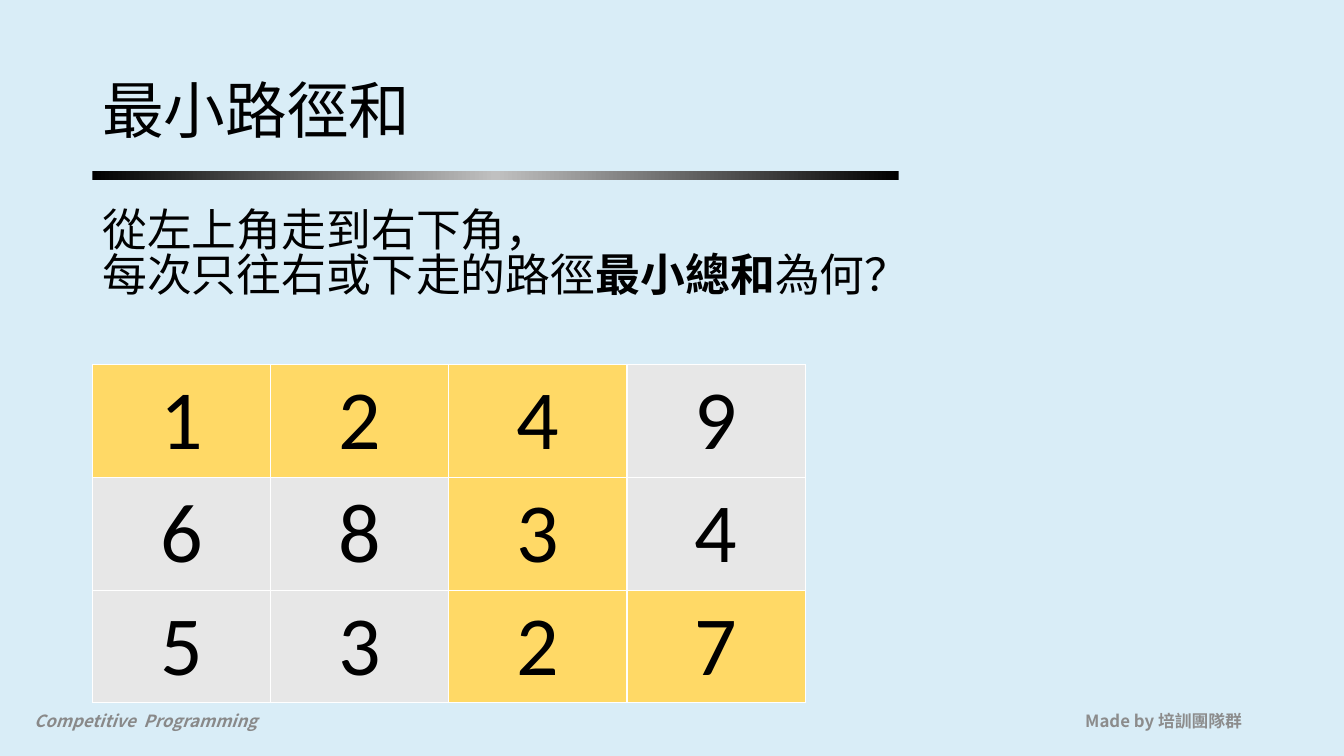
from lxml.etree import SubElement
from pptx import Presentation
from pptx.dml.color import RGBColor
from pptx.enum.shapes import MSO_SHAPE
from pptx.enum.text import MSO_ANCHOR, PP_ALIGN
from pptx.oxml.ns import qn
from pptx.util import Cm, Pt

COLOURS = {
    "background": "D9EDF7", "text": "000000", "path": "FFD966", "cell": "E7E7E7",
    "border": "FFFFFF", "credit": "8C8C8C", "course": "898989", "shine": "C0C0C0",
}
CJK_FONT = "Noto Sans CJK SC"
NUMBER_FONT = "Calibri"

TITLE = "最小路徑和"
# Each line of the question is a list of (text, bold) spans.
QUESTION = [
    [("從左上角走到右下角，", False)],
    [("每次只往右或下走的路徑", False), ("最小總和", True), ("為何？", False)],
]
GRID = [[1, 2, 4, 9], [6, 8, 3, 4], [5, 3, 2, 7]]
BEST_PATH = {(0, 0), (0, 1), (0, 2), (1, 2), (2, 2), (2, 3)}
COURSE = "Competitive  Programming"
CREDIT = "Made by 培訓團隊群"

LEFT, CONTENT_WIDTH = 2.33, 29.21
CELL_WIDTH, CELL_HEIGHT = 4.49, 2.84


def colour(name):
    return RGBColor.from_string(COLOURS[name])


def style(paragraph, size, font=CJK_FONT, ink="text"):
    """Set the paragraph's font for Latin and East Asian text alike."""
    paragraph.font.size = Pt(size)
    paragraph.font.name = font
    paragraph.font.color.rgb = colour(ink)
    properties = paragraph._p.find(qn("a:pPr")).find(qn("a:defRPr"))
    SubElement(properties, qn("a:ea"), typeface=font)


def add_text(page, left, top, width, height, lines, size, ink="text",
             anchor=MSO_ANCHOR.MIDDLE):
    """Add one paragraph whose lines are parted by line breaks; return it."""
    box = page.shapes.add_textbox(Cm(left), Cm(top), Cm(width), Cm(height))
    box.text_frame.word_wrap = True
    box.text_frame.vertical_anchor = anchor
    paragraph = box.text_frame.paragraphs[0]
    style(paragraph, size, ink=ink)
    for index, line in enumerate(lines):
        if index:
            paragraph.add_line_break()
        for text, bold in line:
            span = paragraph.add_run()
            span.text = text
            span.font.bold = bold
    return paragraph


def add_rule(page):
    rule = page.shapes.add_shape(
        MSO_SHAPE.RECTANGLE, Cm(LEFT), Cm(4.32), Cm(20.32), Cm(0.23))
    rule.shadow.inherit = False
    rule.line.fill.background()
    rule.fill.gradient()
    rule.fill.gradient_angle = 0
    stops = rule._element.spPr.find(qn("a:gradFill")).find(qn("a:gsLst"))
    for stop in list(stops):
        stops.remove(stop)
    for percent, name in ((0, "text"), (50, "shine"), (100, "text")):
        stop = SubElement(stops, qn("a:gs"), pos=str(percent * 1000))
        SubElement(stop, qn("a:srgbClr"), val=COLOURS[name])


def set_borders(cell):
    properties = cell._tc.get_or_add_tcPr()
    for index, side in enumerate(("lnL", "lnR", "lnT", "lnB")):
        line = properties.makeelement(qn(f"a:{side}"), {"w": str(Pt(1))})
        properties.insert(index, line)
        fill = SubElement(line, qn("a:solidFill"))
        SubElement(fill, qn("a:srgbClr"), val=COLOURS["border"])


def add_grid(page):
    rows, columns = len(GRID), len(GRID[0])
    table = page.shapes.add_table(
        rows, columns, Cm(LEFT), Cm(9.19),
        Cm(columns * CELL_WIDTH), Cm(rows * CELL_HEIGHT)).table
    for row, numbers in enumerate(GRID):
        for column, number in enumerate(numbers):
            cell = table.cell(row, column)
            cell.fill.solid()
            cell.fill.fore_color.rgb = colour(
                "path" if (row, column) in BEST_PATH else "cell")
            set_borders(cell)
            cell.text = str(number)
            paragraph = cell.text_frame.paragraphs[0]
            paragraph.alignment = PP_ALIGN.CENTER
            style(paragraph, 60, NUMBER_FONT)
            paragraph.font.bold = False


def main():
    deck = Presentation()
    deck.slide_width, deck.slide_height = Cm(33.87), Cm(19.05)
    page = deck.slides.add_slide(deck.slide_layouts[6])
    page.background.fill.solid()
    page.background.fill.fore_color.rgb = colour("background")

    credit = add_text(page, 23.93, 17.65, 7.62, 1.02, [[(CREDIT, True)]], 12, "credit")
    credit.alignment = PP_ALIGN.RIGHT
    course = add_text(page, 0.61, 17.65, 7.62, 1.02, [[(COURSE, True)]], 12, "course")
    course.font.italic = True
    add_rule(page)
    title = add_text(page, LEFT, 1.02, CONTENT_WIDTH, 3.68, [[(TITLE, False)]], 44)
    title.line_spacing = 0.9
    question = add_text(page, LEFT, 5.21, CONTENT_WIDTH, 3.6, QUESTION, 32,
                        anchor=MSO_ANCHOR.TOP)
    question.line_spacing = 0.82
    add_grid(page)
    deck.save("out.pptx")


if __name__ == "__main__":
    main()
